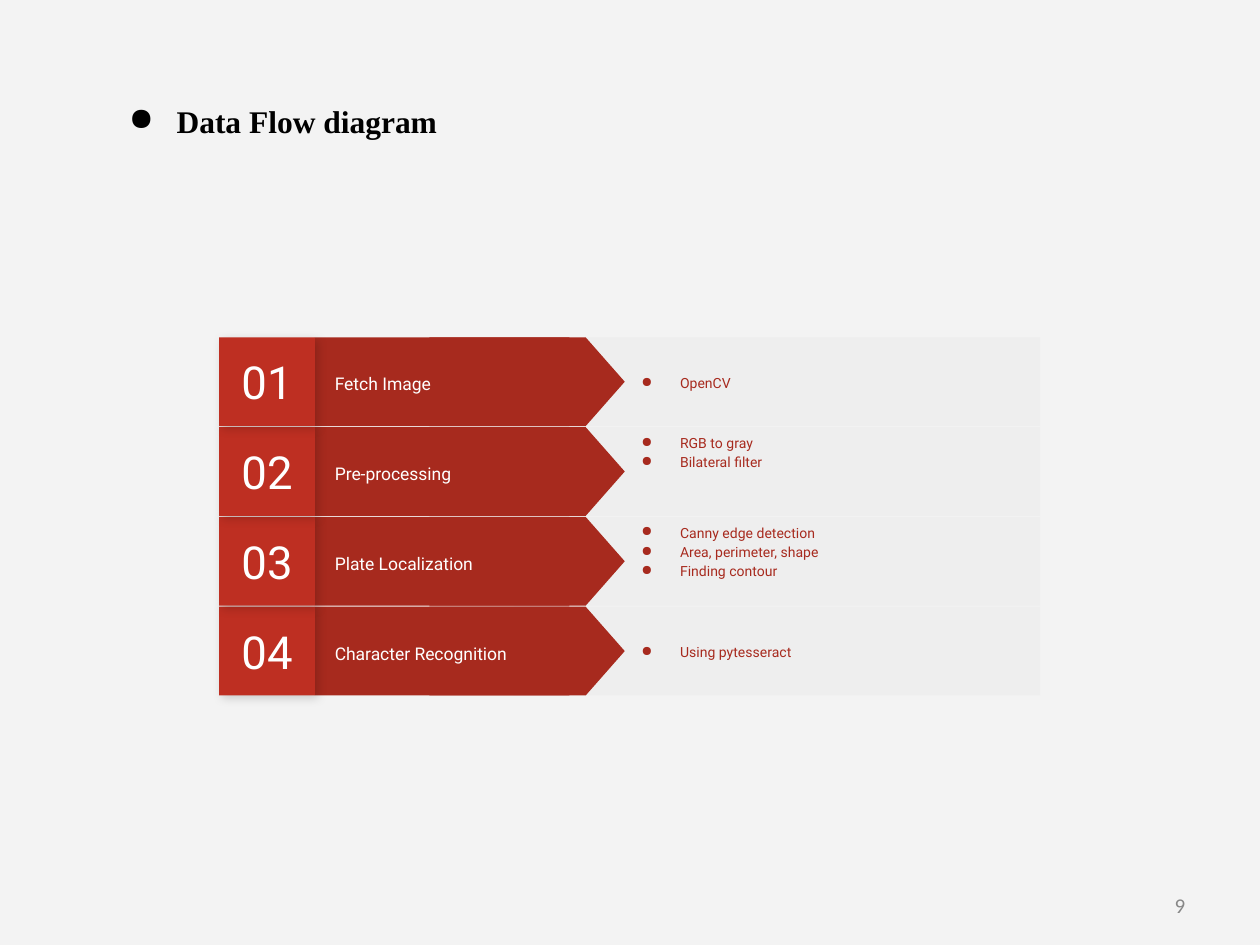
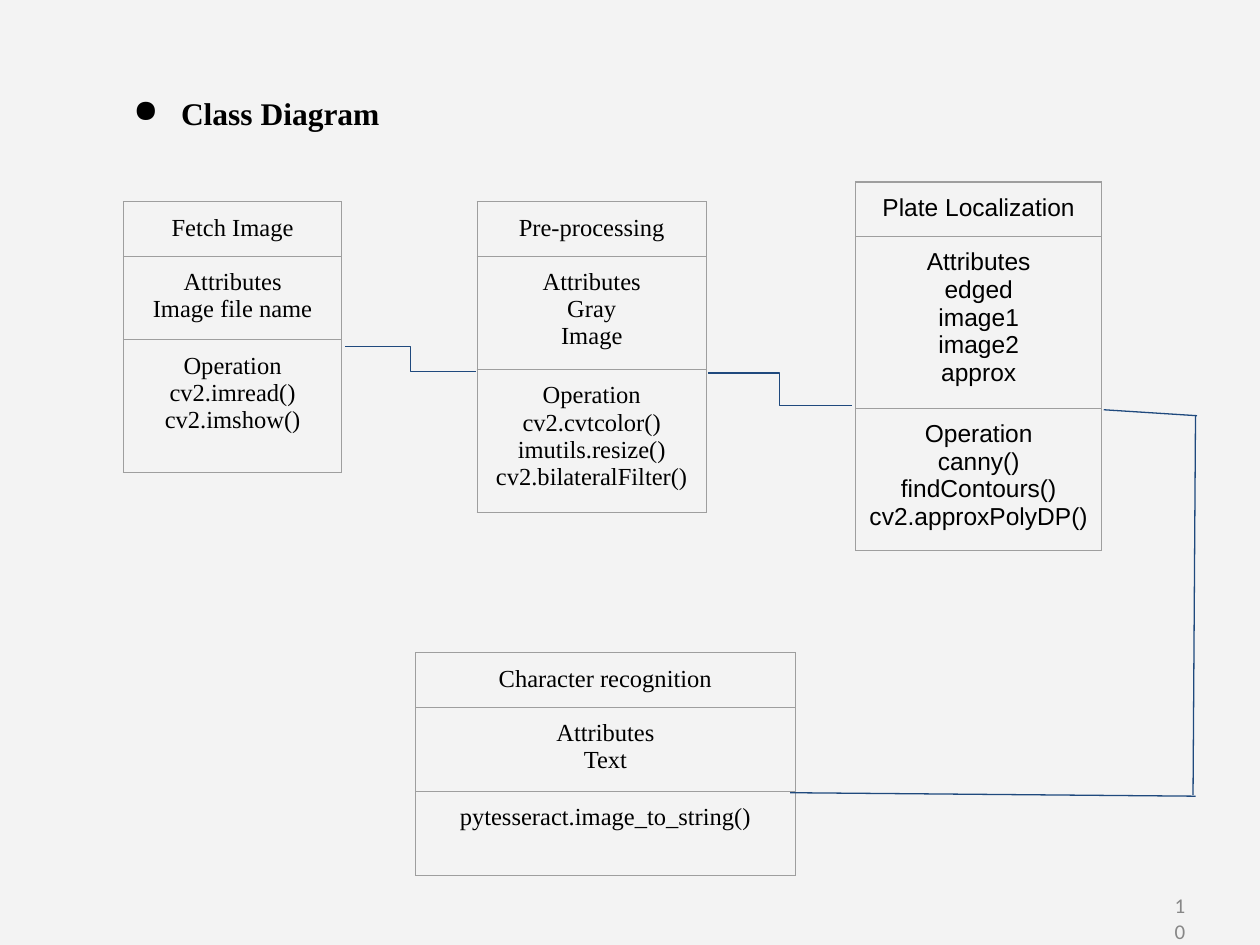
import lxml.etree
import pptx
import pptx.dml.color
import pptx.enum.shapes
import pptx.enum.text
import pptx.oxml.ns
import pptx.util

Cm = pptx.util.Cm
Pt = pptx.util.Pt
RGBColor = pptx.dml.color.RGBColor
SHAPE = pptx.enum.shapes.MSO_SHAPE
CONNECTOR = pptx.enum.shapes.MSO_CONNECTOR
ANCHOR = pptx.enum.text.MSO_ANCHOR
ALIGN = pptx.enum.text.PP_ALIGN
qn = pptx.oxml.ns.qn
SubElement = lxml.etree.SubElement

PAPER = RGBColor(0xF3, 0xF3, 0xF3)
BLACK = RGBColor(0, 0, 0)
WHITE = RGBColor(0xFF, 0xFF, 0xFF)
PAGE_GREY = RGBColor(0x87, 0x87, 0x87)
BAND_GREY = RGBColor(0xEE, 0xEE, 0xEE)
DARK_RED = RGBColor(0xA7, 0x2A, 0x1E)
RED = RGBColor(0xBE, 0x2F, 0x22)
BORDER_GREY = RGBColor(0x9E, 0x9E, 0x9E)
LINK_BLUE = RGBColor(0x1F, 0x49, 0x7D)
SERIF, SANS, FLOW_FONT, PAGE_FONT = "Times New Roman", "Arial", "Roboto", "Calibri"


def write(frame, lines, font, size, color, bold=False, inset=0.25, spacing=None,
          align=None, indent=0, hang=None):
    """Fill a text frame or table cell; a hang in cm makes the lines bulleted."""
    frame.margin_left = frame.margin_right = Cm(inset)
    frame.margin_top = frame.margin_bottom = Cm(inset)
    body = getattr(frame, "text_frame", frame)
    body.word_wrap = True
    for number, line in enumerate(lines):
        paragraph = body.add_paragraph() if number else body.paragraphs[0]
        paragraph.alignment = align
        paragraph.line_spacing = spacing
        properties = paragraph._p.get_or_add_pPr()
        properties.set("marL", str(Cm(indent)))
        if hang:
            properties.set("indent", str(-Cm(hang)))
            tint = SubElement(properties, qn("a:buClr"))
            SubElement(tint, qn("a:srgbClr"), val=str(color))
            SubElement(properties, qn("a:buChar"), char="●")
        run = paragraph.add_run()
        run.text = line
        run.font.name = font
        run.font.size = Pt(size)
        run.font.bold = bold
        run.font.color.rgb = color


def add_block(shapes, kind, left, top, width, height, color):
    block = shapes.add_shape(kind, Cm(left), Cm(top), Cm(width), Cm(height))
    block.shadow.inherit = False
    block.fill.solid()
    block.fill.fore_color.rgb = color
    block.line.fill.background()
    return block


deck = pptx.Presentation()
deck.slide_width = Cm(25.4)
deck.slide_height = Cm(19.05)
flow = deck.slides.add_slide(deck.slide_layouts[6])
classes = deck.slides.add_slide(deck.slide_layouts[6])

# Background, heading and page number of both slides
for slide, heading, left, top, width, height, inset, page in [
    (flow, "Data Flow diagram", 2.29, 2.06, 16.59, 2.87, 0, "9"),
    (classes, "Class Diagram", 2.13, 1.65, 19.18, 1.27, 0.25, "10"),
]:
    slide.background.fill.solid()
    slide.background.fill.fore_color.rgb = PAPER
    title = slide.shapes.add_textbox(Cm(left), Cm(top), Cm(width), Cm(height))
    write(title.text_frame, [heading], SERIF, 18, BLACK, bold=True, inset=inset,
          indent=1.27, hang=0.96)
    page_number = slide.shapes.add_textbox(Cm(23.6), Cm(17.98), Cm(0.36), Cm(0.48))
    write(page_number.text_frame, [page], PAGE_FONT, 12, PAGE_GREY, inset=0,
          spacing=1.03, indent=0.08)

# Data flow: one band per step, stacked from the last step up
STEPS = [
    ("Fetch Image", ["OpenCV"]),
    ("Pre-processing", ["RGB to gray", "Bilateral filter"]),
    ("Plate Localization",
     ["Canny edge detection", "Area, perimeter, shape", "Finding contour"]),
    ("Character Recognition", ["Using pytesseract"]),
]
FIRST_TOP, PITCH, BAND = 6.8, 1.81, 1.79
POINT_LENGTH = 3.94

for index, (step, details) in reversed(list(enumerate(STEPS))):
    top = FIRST_TOP + index * PITCH
    band = flow.shapes.add_group_shape().shapes
    add_block(band, SHAPE.RECTANGLE, 10.36, top, 10.61, BAND, BAND_GREY)
    add_block(band, SHAPE.RECTANGLE, 6.35, top, 5.13, BAND, DARK_RED)
    point = add_block(band, SHAPE.FLOWCHART_OFFPAGE_CONNECTOR, 9.73,
                      top + (BAND - POINT_LENGTH) / 2, BAND, POINT_LENGTH, DARK_RED)
    point.rotation = 270

    label = band.add_textbox(Cm(6.5), Cm(top + 0.22), Cm(5.38), Cm(1.37))
    label.text_frame.vertical_anchor = ANCHOR.MIDDLE
    write(label.text_frame, [step], FLOW_FONT, 10, WHITE, spacing=1.15)

    tile = add_block(band, SHAPE.RECTANGLE, 4.42, top, 1.93, BAND, RED)
    shadow = SubElement(tile._element.spPr.find(qn("a:effectLst")), qn("a:outerShdw"),
                        blurRad=str(Pt(5.6)), dist=str(Pt(2.2)), dir="2700000",
                        algn="ctr", rotWithShape="0")
    shade = SubElement(shadow, qn("a:srgbClr"), val=str(BLACK))
    SubElement(shade, qn("a:alpha"), val="17000")
    tile.text_frame.vertical_anchor = ANCHOR.MIDDLE
    write(tile.text_frame, [f"{index + 1:02}"], FLOW_FONT, 26, WHITE, align=ALIGN.CENTER)

    notes = band.add_textbox(Cm(12.19), Cm(top), Cm(8.26), Cm(BAND))
    write(notes.text_frame, details, FLOW_FONT, 8, DARK_RED, spacing=1.15,
          indent=1.27, hang=0.78)
    if len(details) > 1:
        notes.text_frame.vertical_anchor = ANCHOR.TOP
        notes.text_frame.margin_top = Cm(0.1)
    else:
        notes.text_frame.vertical_anchor = ANCHOR.MIDDLE

# Class diagram: name, attributes and operations of each class
CLASSES = [
    (2.49, 4.07, 4.4, SERIF, [
        (1.03, ["Fetch Image"]),
        (1.58, ["Attributes", "Image file name"]),
        (2.67, ["Operation", "cv2.imread()", "cv2.imshow()"])]),
    (9.62, 4.07, 4.62, SERIF, [
        (1.09, ["Pre-processing"]),
        (2.29, ["Attributes", "Gray", "Image"]),
        (2.87, ["Operation", "cv2.cvtcolor()", "imutils.resize()",
                "cv2.bilateralFilter()"])]),
    (17.25, 3.67, 4.96, SANS, [
        (1.05, ["Plate Localization"]),
        (3.28, ["Attributes", "edged", "image1", "image2", "approx"]),
        (2.72, ["Operation", "canny()", "findContours()", "cv2.approxPolyDP()"])]),
    (8.38, 13.16, 7.65, SERIF, [
        (1.09, ["Character recognition"]),
        (1.7, ["Attributes", "Text"]),
        (1.7, ["pytesseract.image_to_string()"])]),
]
for left, top, width, font, sections in CLASSES:
    height = sum(section[0] for section in sections)
    table = classes.shapes.add_table(len(sections), 1, Cm(left), Cm(top),
                                     Cm(width), Cm(height)).table
    table.first_row = table.horz_banding = False
    for row, (row_height, lines) in enumerate(sections):
        table.rows[row].height = Cm(row_height)
        cell = table.cell(row, 0)
        write(cell, lines, font, 14, BLACK, align=ALIGN.CENTER)
        for side in ("a:lnL", "a:lnR", "a:lnT", "a:lnB"):
            border = SubElement(cell._tc.get_or_add_tcPr(), qn(side), w=str(Pt(0.75)))
            ink = SubElement(border, qn("a:solidFill"))
            SubElement(ink, qn("a:srgbClr"), val=str(BORDER_GREY))
        cell.fill.background()

LINKS = [
    (CONNECTOR.ELBOW, 6.96, 6.98, 9.6, 7.49),
    (CONNECTOR.ELBOW, 14.27, 7.52, 17.17, 8.18),
    (CONNECTOR.STRAIGHT, 22.25, 8.26, 24.13, 8.38),
    (CONNECTOR.STRAIGHT, 24.1, 16.05, 15.93, 15.98),
    (CONNECTOR.STRAIGHT, 24.1, 8.38, 24.05, 16.03),
]
for kind, *ends in LINKS:
    link = classes.shapes.add_connector(kind, *map(Cm, ends))
    link.line.color.rgb = LINK_BLUE
    link.line.width = Pt(0.75)
    SubElement(link._element.spPr, qn("a:effectLst"))

deck.save("out.pptx")
